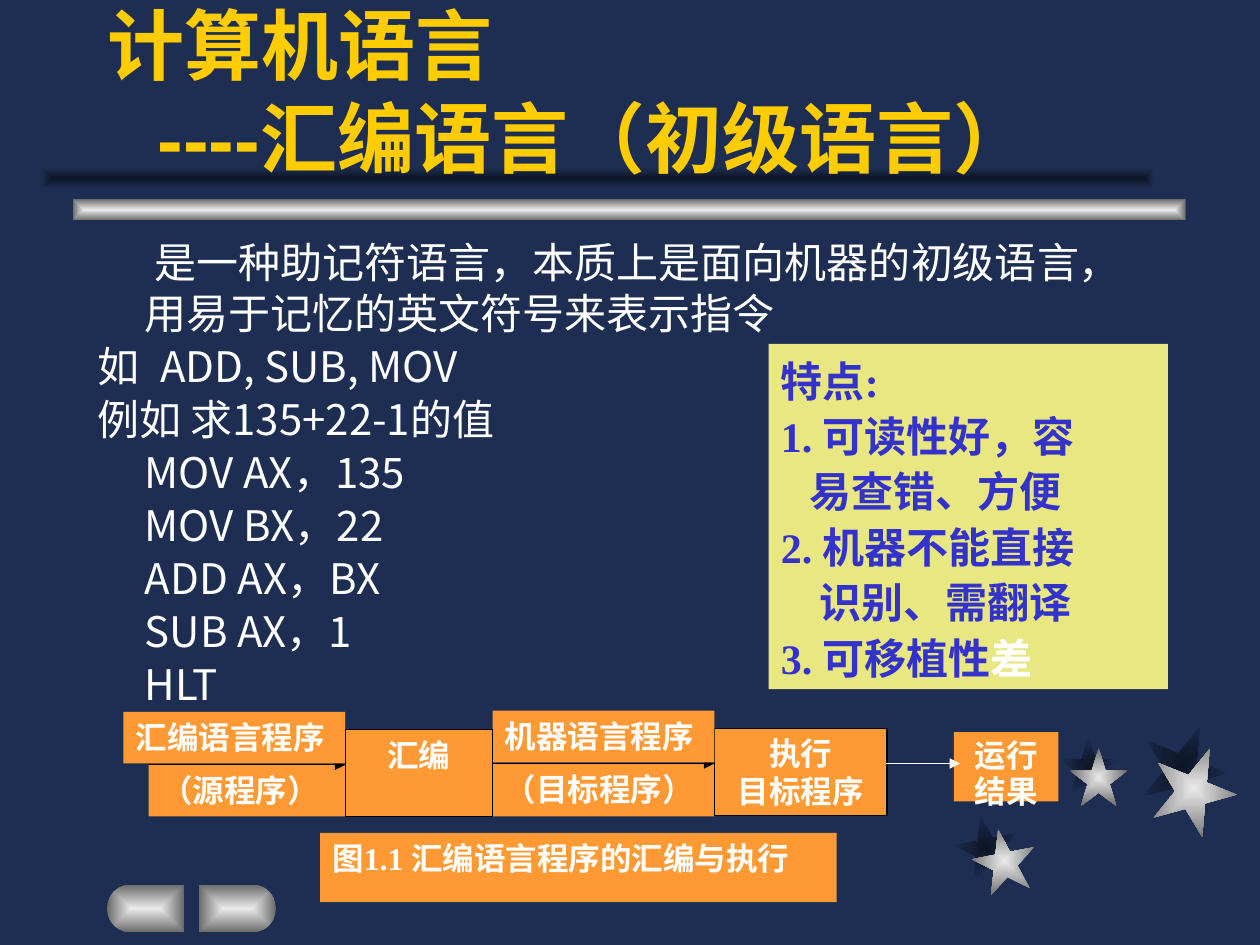
"""Build a slide on assembly language with a flow from source to result."""
import math

import pptx
import pptx.dml.color
import pptx.enum.shapes
import pptx.enum.text
import pptx.oxml.ns
import pptx.util
from lxml import etree

Inches = pptx.util.Inches
Pt = pptx.util.Pt
KIND = pptx.enum.shapes.MSO_SHAPE
ALIGN = pptx.enum.text.PP_ALIGN
ANCHOR = pptx.enum.text.MSO_ANCHOR
qn = pptx.oxml.ns.qn

HUES = {
    "navy": "1E2E53", "dark": "0D1526", "pale": "EAEAEA", "grey": "6B6B6B",
    "gold": "FFCC00", "white": "FFFFFF", "black": "000000",
    "cream": "E9E781", "blue": "3333CC", "amber": "FF9933",
}
METAL = ("pale", "grey")
SHADE = ("dark", "navy")
STARS = [
    (7.58, 6.47, 0.5, -11, SHADE), (8.41, 5.85, 0.46, 0, SHADE),
    (9.06, 5.75, 0.67, 22, SHADE), (7.72, 6.58, 0.5, -11, METAL),
    (8.49, 5.94, 0.46, 0, METAL), (9.14, 5.92, 0.67, 22, METAL),
]
INTRO = "是一种助记符语言，本质上是面向机器的初级语言，用易于记忆的英文符号来表示指令"
CODE = ["MOV AX，135", "MOV BX，22", "ADD AX，BX", "SUB AX，1", "HLT"]
BODY = [(INTRO, 0.38, 0.08), ("如\tADD, SUB, MOV", 0, 0),
        ("例如 求135+22-1的值", 0, 0)] + [(line, 0.38, 0) for line in CODE]
TRAITS = [("特点:", 0), ("1. 可读性好，容", 0), ("易查错、方便", 0.23),
          ("2. 机器不能直接", 0), ("识别、需翻译", 0.31), ("3. 可移植性", 0)]


def hue(name):
    """Return the named colour."""
    return pptx.dml.color.RGBColor.from_string(HUES[name])


def style(para, size, face, tint, bold=True):
    """Format every run of a paragraph."""
    for run in para.runs:
        run.font.size, run.font.name, run.font.bold = Pt(size), face, bold
        run.font.color.rgb = hue(tint)


def indent(para, left, first=0):
    """Set the left margin and the first-line indent."""
    props = para._p.get_or_add_pPr()
    props.set("marL", str(Inches(left)))
    props.set("indent", str(Inches(first)))
    return props


def glow(shape, pair):
    """Fill a shape with a gradient running out from its centre."""
    shape.shadow.inherit = False
    shape.line.fill.background()
    shape.fill.gradient()
    for stop, name, spot in zip(shape.fill.gradient_stops, pair, (0, 1)):
        stop.color.rgb = hue(name)
        stop.position = spot
    grad = shape.element.spPr.find(qn("a:gradFill"))
    for lin in grad.findall(qn("a:lin")):
        grad.remove(lin)
    way = etree.SubElement(grad, qn("a:path"), {"path": "rect"})
    etree.SubElement(way, qn("a:fillToRect"), dict.fromkeys("ltrb", "50000"))


def solid(slide, kind, left, top, width, height, pair, turn=0):
    """Add a preset shape with a centred gradient."""
    shape = slide.shapes.add_shape(
        kind, Inches(left), Inches(top), Inches(width), Inches(height))
    shape.rotation = turn
    glow(shape, pair)


def pill(slide, flat, side):
    """Add a button with one flat edge, rounded towards the given side."""
    top, size, far = 7.02, 0.19, flat + side * 0.42
    arc = [math.radians(step) for step in range(-90, 91, 15)]
    dots = [(far + side * size * math.cos(turn),
             top + size + size * math.sin(turn)) for turn in arc]
    dots.append((flat, top + 2 * size))
    form = slide.shapes.build_freeform(Inches(flat), Inches(top), 1.0)
    form.add_line_segments([(Inches(x), Inches(y)) for x, y in dots], True)
    glow(form.convert_to_shape(), METAL)


def place(shape, left, top, width, height):
    """Move a placeholder above the decoration and return its frame."""
    shape.left, shape.top = Inches(left), Inches(top)
    shape.width, shape.height = Inches(width), Inches(height)
    shape.element.getparent().append(shape.element)
    frame = shape.text_frame
    frame.auto_size = pptx.enum.text.MSO_AUTO_SIZE.NONE
    frame.word_wrap = True
    return frame


def head(slide):
    """Fill the title."""
    frame = place(slide.shapes.title, 0.75, 0.25, 8.5, 1.25)
    frame.vertical_anchor = ANCHOR.BOTTOM
    frame.text = "计算机语言\v----汇编语言（初级语言）"
    para = frame.paragraphs[0]
    para.alignment = ALIGN.LEFT
    indent(para, 0.4, -0.4)
    style(para, 44, "Arial", "gold")


def body(slide):
    """Fill the body with the definition and the sample code."""
    frame = place(slide.placeholders[1], 0.67, 1.83, 8.58, 5.15)
    frame.text = "\n".join(row[0] for row in BODY)
    for spot, (para, row) in enumerate(zip(frame.paragraphs, BODY)):
        props = indent(para, *row[1:])
        para.space_before = Pt(1.5 if spot else 0)
        etree.SubElement(props, qn("a:buNone"))
        if "\t" in row[0]:
            tabs = etree.SubElement(props, qn("a:tabLst"))
            etree.SubElement(tabs, qn("a:tab"),
                             {"pos": str(Inches(0.56)), "algn": "l"})
        style(para, 24, "Noto Sans CJK SC", "white", False)


def box(slide, area, text, align, fill="amber", edge=False, size=18, tint="white"):
    """Add a filled box with text and return its frame."""
    shape = slide.shapes.add_shape(KIND.RECTANGLE, *map(Inches, area))
    shape.shadow.inherit = False
    shape.fill.solid()
    shape.fill.fore_color.rgb = hue(fill)
    if edge:
        shape.line.color.rgb = hue("black")
        shape.line.width = Pt(0.75)
    else:
        shape.line.fill.background()
    frame = shape.text_frame
    frame.word_wrap = True
    frame.vertical_anchor = ANCHOR.TOP
    frame.text = text
    for para in frame.paragraphs:
        para.alignment = align
        style(para, size, "Times New Roman", tint)
    return frame


def traits(slide):
    """Add the box of features."""
    text = "\n".join(row[0] for row in TRAITS)
    frame = box(slide, (6.1, 2.73, 3.17, 2.74), text, ALIGN.LEFT,
                "cream", size=24, tint="blue")
    for para, row in zip(frame.paragraphs, TRAITS):
        indent(para, row[1])
        para.line_spacing = 1.1
    last = frame.paragraphs[-1]
    last.add_run().text = "差"
    style(last, 24, "Times New Roman", "blue")
    last.runs[-1].font.color.rgb = hue("white")


def arrow(slide, left, right, top, tint):
    """Add a level arrow pointing right."""
    line = slide.shapes.add_connector(
        pptx.enum.shapes.MSO_CONNECTOR.STRAIGHT,
        Inches(left), Inches(top), Inches(right), Inches(top))
    line.line.color.rgb = hue(tint)
    line.line.width = Pt(0.75)
    etree.SubElement(line.line._get_or_add_ln(), qn("a:tailEnd"), {"type": "triangle"})
    etree.SubElement(line.element.spPr, qn("a:effectLst"))


def flow(slide):
    """Add the chain of steps and its caption."""
    mid, just = ALIGN.CENTER, ALIGN.JUSTIFY
    end = box(slide, (7.57, 5.81, 0.83, 0.55), "运行结果", mid)
    end.paragraphs[0].line_spacing = 0.96
    box(slide, (3.91, 6.06, 1.76, 0.42), "（目标程序）", just)
    box(slide, (1.18, 6.07, 1.56, 0.41), "（源程序）", just)
    arrow(slide, 1.18, 2.74, 6.07, "black")
    arrow(slide, 3.91, 5.67, 6.06, "black")
    box(slide, (5.67, 5.78, 1.37, 0.69), "执行\n目标程序", mid, edge=True)
    box(slide, (0.98, 5.65, 1.76, 0.41), "汇编语言程序", just)
    box(slide, (3.91, 5.64, 1.76, 0.41), "机器语言程序", just)
    arrow(slide, 7.03, 7.62, 6.06, "white")
    box(slide, (2.54, 6.61, 4.1, 0.55), "图1.1 汇编语言程序的汇编与执行", just)
    box(slide, (2.74, 5.79, 1.17, 0.69), "汇编", mid, edge=True)


def main():
    """Build and save the slide."""
    deck = pptx.Presentation()
    deck.slide_width, deck.slide_height = Inches(10), Inches(7.5)
    slide = deck.slides.add_slide(deck.slide_layouts[1])
    slide.background.fill.solid()
    slide.background.fill.fore_color.rgb = hue("navy")
    for left, top, size, turn, pair in STARS:
        solid(slide, KIND.STAR_5_POINT, left, top, size, size, pair, turn)
    solid(slide, KIND.RECTANGLE, 0.58, 1.58, 8.83, 0.17, METAL)
    solid(slide, KIND.RECTANGLE, 0.33, 1.33, 8.83, 0.17, SHADE)
    pill(slide, 1.46, -1)
    pill(slide, 1.58, 1)
    head(slide)
    body(slide)
    traits(slide)
    flow(slide)
    deck.save("out.pptx")


if __name__ == "__main__":
    main()
